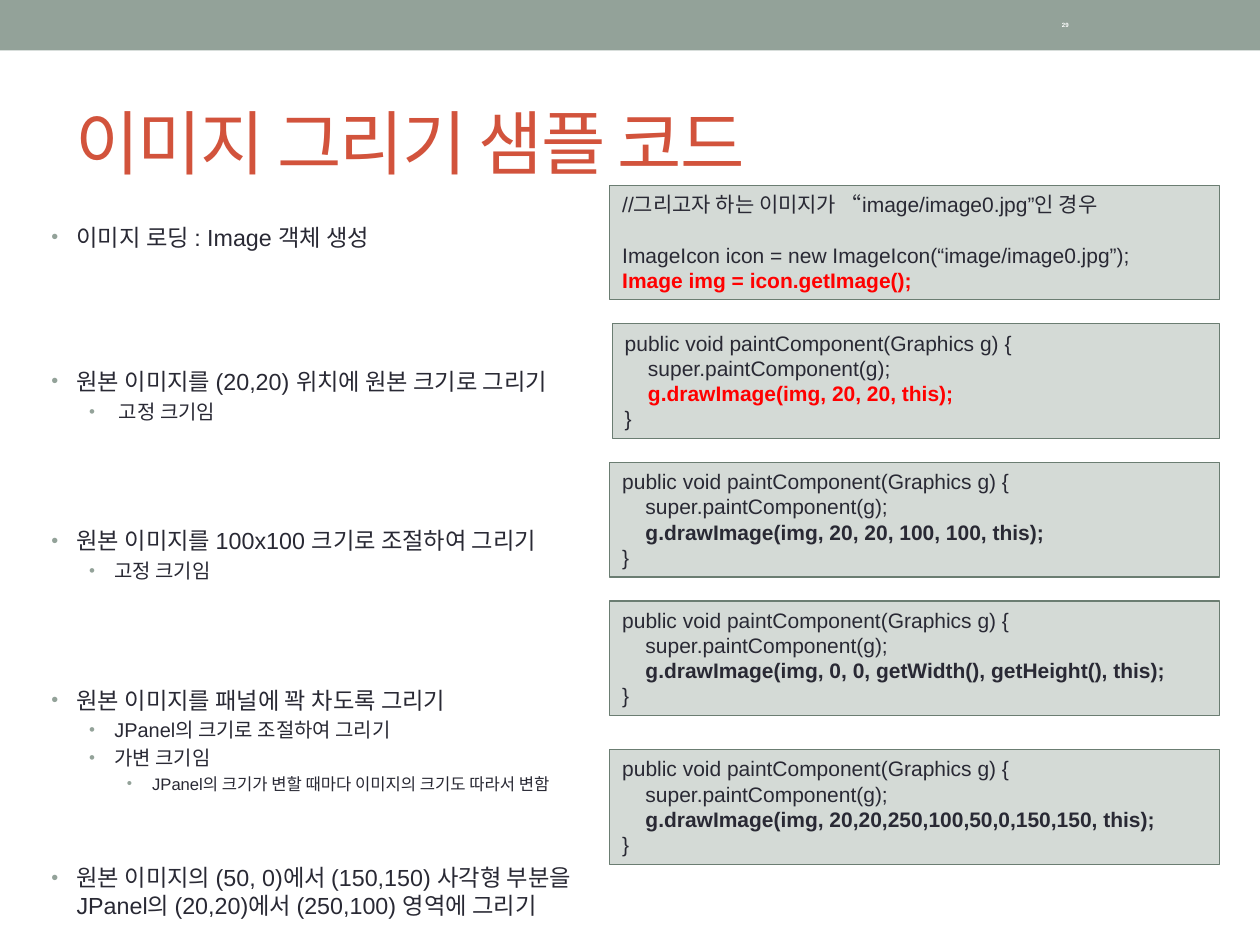
import pptx
import pptx.util
import pptx.dml.color
import pptx.enum.shapes
import pptx.enum.text
import pptx.oxml.ns
import lxml.etree

THEME = {
    "font": "Arial", "bar": "93A299", "title": "D2533C", "ink": "292934",
    "hot": "FF0000", "box": "D4DAD6", "edge": "6B7D72", "white": "FFFFFF",
    "head": 40, "code": 12, "page": 3.5, "list": (13.3, 11.4, 9.5),
}
WIDE, HIGH = 10, 7.5

TITLE = "이미지 그리기 샘플 코드"
PAGE = "29"
# level, space before in points, text
NOTES = [
    (0, 0, "이미지 로딩 : Image 객체 생성"),
    (0, 66.5, "원본 이미지를 (20,20) 위치에 원본 크기로 그리기"),
    (1, 2.4, " 고정 크기임"),
    (0, 59, "원본 이미지를 100x100 크기로 조절하여 그리기"),
    (1, 2.4, "고정 크기임"),
    (0, 59, "원본 이미지를 패널에 꽉 차도록 그리기"),
    (1, 2.4, "JPanel의 크기로 조절하여 그리기"),
    (1, 2.4, "가변 크기임"),
    (2, 2, "JPanel의 크기가 변할 때마다 이미지의 크기도 따라서 변함"),
    (0, 40, "원본 이미지의 (50, 0)에서 (150,150) 사각형 부분을 "
            "JPanel의 (20,20)에서 (250,100) 영역에 그리기"),
]
# text, colour, bold, space before
LOAD = [
    ("//그리고자 하는 이미지가 “image/image0.jpg”인 경우", "ink", False, 0),
    ("ImageIcon icon = new ImageIcon(“image/image0.jpg”);", "ink", False, 14.5),
    ("Image img = icon.getImage();", "hot", True, 0),
]
# arguments, colour, extra left shift, extra top shift
DRAWS = [
    ("20, 20", "hot", 0.02, 0),
    ("20, 20, 100, 100", "ink", 0, 0),
    ("0, 0, getWidth(), getHeight()", "ink", 0, 0),
    ("20,20,250,100,50,0,150,150", "ink", 0, 0.08),
]
LEFT, TOP, STEP, SPAN, TALL = 4.84, 1.47, 1.1, 4.84, 0.91


def rgb(name):
    return pptx.dml.color.RGBColor.from_string(THEME[name])


def inch(*nums):
    return [pptx.util.Inches(n) for n in nums]


def style(font, size, color, bold=False):
    values = {"name": THEME["font"], "size": pptx.util.Pt(size), "bold": bold}
    for key, val in values.items():
        setattr(font, key, val)
    font.color.rgb = rgb(color)


def rect(slide, area, fill, edge=None):
    shape = slide.shapes.add_shape(
        pptx.enum.shapes.MSO_SHAPE.RECTANGLE, *inch(*area))
    shape.shadow.inherit = False
    shape.fill.solid()
    shape.fill.fore_color.rgb = rgb(fill)
    if edge:
        shape.line.color.rgb = rgb(edge)
        shape.line.width = pptx.util.Pt(0.75)
    else:
        shape.line.fill.background()
    return shape


def frame(shape, anchor="TOP"):
    body = shape.text_frame
    body.word_wrap = True
    body.vertical_anchor = getattr(pptx.enum.text.MSO_ANCHOR, anchor)
    return body


def lines(body, count):
    """Yield count left-aligned paragraphs, starting with the first one."""
    for num in range(count):
        para = body.add_paragraph() if num else body.paragraphs[0]
        para.alignment = pptx.enum.text.PP_ALIGN.LEFT
        yield para


def label(slide, area, text, size, color, bold=False):
    body = frame(slide.shapes.add_textbox(*inch(*area)), "MIDDLE")
    run = body.paragraphs[0].add_run()
    run.text = text
    style(run.font, size, color, bold)
    return run


def bullet(para, level):
    props = para._p.get_or_add_pPr()
    props.set("marL", str(pptx.util.Inches((0.2, 0.5, 0.8)[level])))
    props.set("indent", str(pptx.util.Inches(-0.2)))
    tag = pptx.oxml.ns.qn
    color = lxml.etree.SubElement(props, tag("a:buClr"))
    lxml.etree.SubElement(color, tag("a:srgbClr"), val=THEME["bar"])
    share = (85, 85, 90)[level] * 1000
    lxml.etree.SubElement(props, tag("a:buSzPct"), val=str(share))
    lxml.etree.SubElement(props, tag("a:buFont"), typeface=THEME["font"])
    lxml.etree.SubElement(props, tag("a:buChar"), char="•")


def notes(slide):
    body = frame(slide.shapes.add_textbox(*inch(0.31, 1.72, 4.53, 5.73)))
    for para, (level, gap, text) in zip(lines(body, len(NOTES)), NOTES):
        para.level = level
        bullet(para, level)
        if gap:
            para.space_before = pptx.util.Pt(gap)
        run = para.add_run()
        run.text = text
        style(run.font, THEME["list"][level], "ink")


def code(slide, area, rows):
    body = frame(rect(slide, area, "box", "edge"))
    body.auto_size = pptx.enum.text.MSO_AUTO_SIZE.SHAPE_TO_FIT_TEXT
    for para, (text, color, bold, gap) in zip(lines(body, len(rows)), rows):
        if gap:
            para.space_before = pptx.util.Pt(gap)
        run = para.add_run()
        run.text = text
        style(run.font, THEME["code"], color, bold)


def paint(args, color):
    return [
        ("public void paintComponent(Graphics g) {", "ink", False, 0),
        ("    super.paintComponent(g);", "ink", False, 0),
        (f"    g.drawImage(img, {args}, this);", color, True, 0),
        ("}", "ink", False, 0),
    ]


def main():
    deck = pptx.Presentation()
    deck.slide_width, deck.slide_height = inch(WIDE, HIGH)
    slide = deck.slides.add_slide(deck.slide_layouts[6])

    rect(slide, (0, 0, WIDE, 0.4), "bar")
    head = label(slide, (0.5, 0.58, 9, 1.08), TITLE, THEME["head"], "title")
    head._r.get_or_add_rPr().set("spc", "-100")
    notes(slide)
    code(slide, (LEFT, TOP, SPAN, TALL), LOAD)
    for row, (args, color, right, down) in enumerate(DRAWS, 1):
        area = (LEFT + right, TOP + STEP * row + down, SPAN - right, TALL)
        code(slide, area, paint(args, color))
    label(slide, (8.33, 0.02, 1.17, 0.36), PAGE, THEME["page"], "white", True)

    deck.save("out.pptx")


if __name__ == "__main__":
    main()
